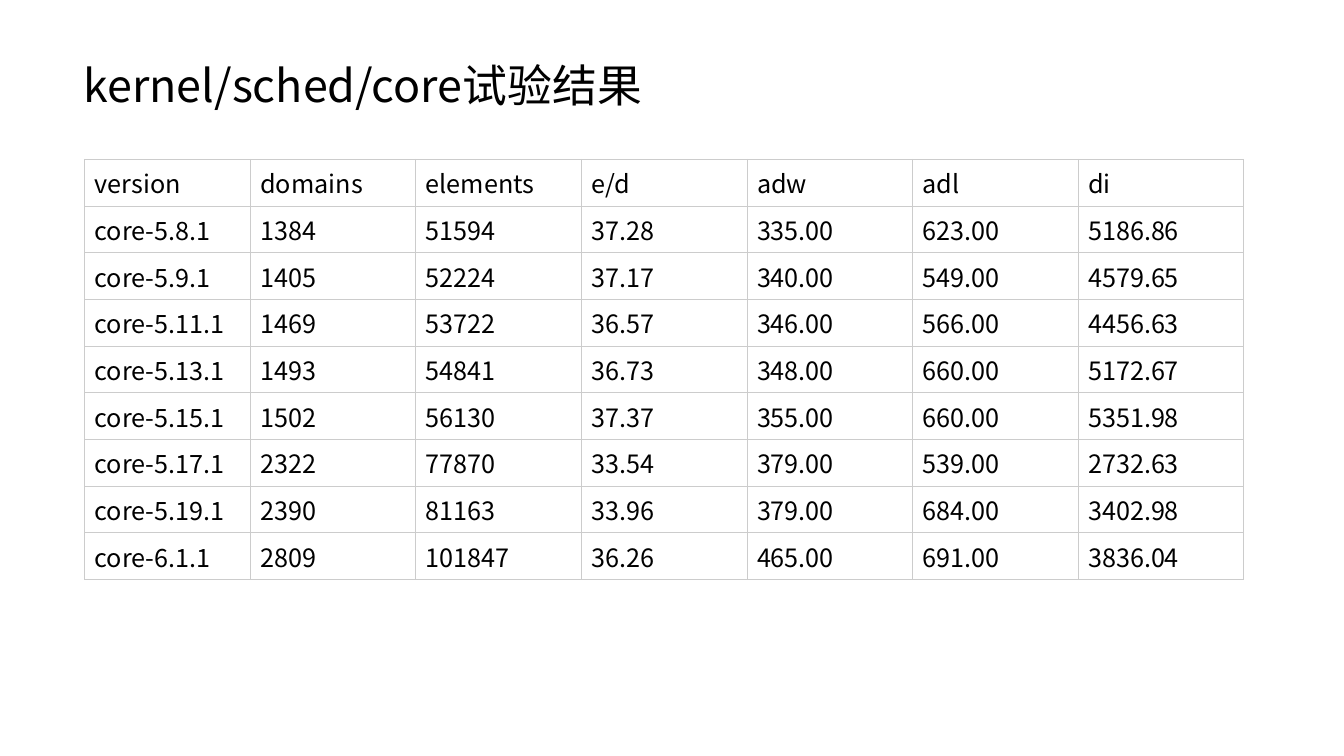
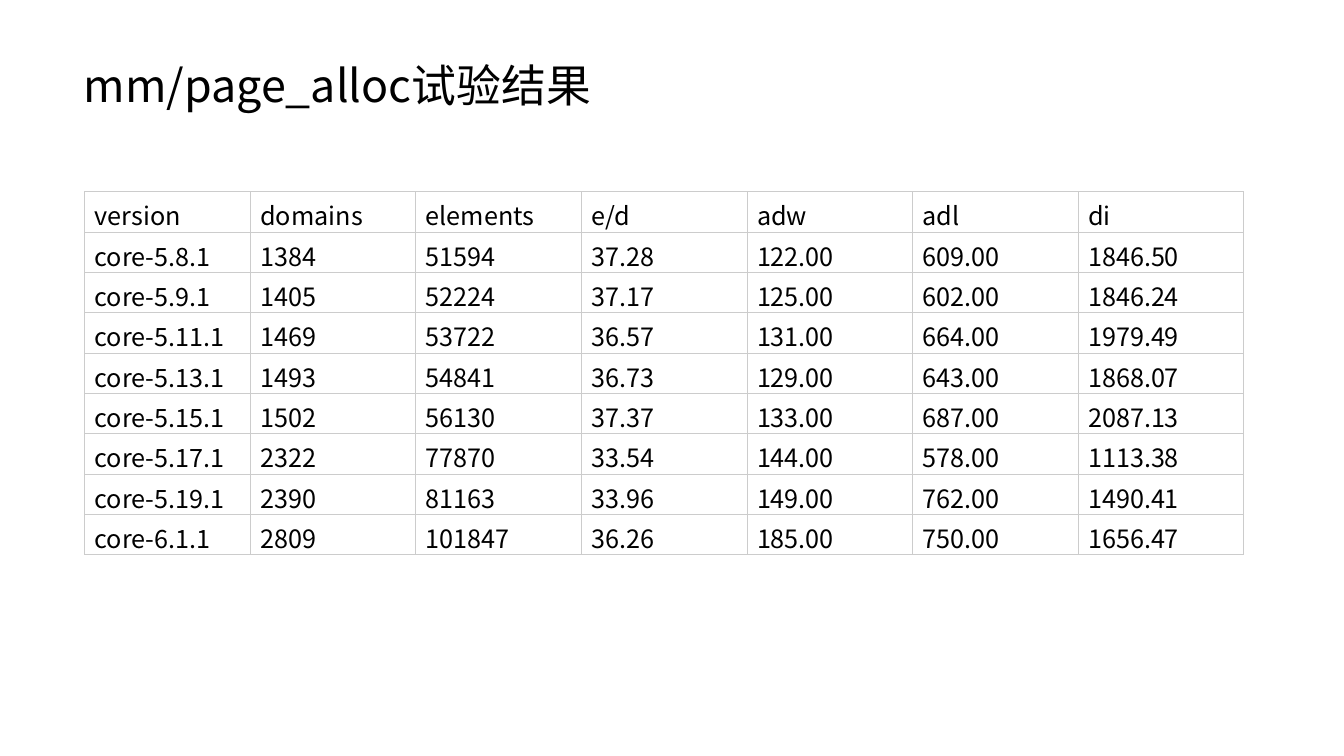
from dataclasses import dataclass

from lxml.etree import SubElement as Sub
from pptx import Presentation
from pptx.dml.color import RGBColor as Rgb
from pptx.enum.text import MSO_ANCHOR as Anchor, MSO_AUTO_SIZE as Fit
from pptx.oxml.ns import qn
from pptx.slide import Slide
from pptx.util import Pt

HEX = {"ink": "000000", "rule": "CCCCCC", "page": "FFFFFF"}
FACE = "Noto Sans CJK SC"
HEADS = ("version", "domains", "elements", "e/d", "adw", "adl", "di")
BASE = (
    ("core-5.8.1", "1384", "51594", "37.28"),
    ("core-5.9.1", "1405", "52224", "37.17"),
    ("core-5.11.1", "1469", "53722", "36.57"),
    ("core-5.13.1", "1493", "54841", "36.73"),
    ("core-5.15.1", "1502", "56130", "37.37"),
    ("core-5.17.1", "2322", "77870", "33.54"),
    ("core-5.19.1", "2390", "81163", "33.96"),
    ("core-6.1.1", "2809", "101847", "36.26"),
)
LEFT, WIDTH = 60.5, 828
RULE = 0.6


@dataclass(frozen=True)
class Report:
    title: str
    top: float
    row: float
    scores: tuple[tuple[str, str, str], ...]


REPORTS = (
    Report("kernel/sched/core试验结果", 113.8, 33.35, (
        ("335.00", "623.00", "5186.86"),
        ("340.00", "549.00", "4579.65"),
        ("346.00", "566.00", "4456.63"),
        ("348.00", "660.00", "5172.67"),
        ("355.00", "660.00", "5351.98"),
        ("379.00", "539.00", "2732.63"),
        ("379.00", "684.00", "3402.98"),
        ("465.00", "691.00", "3836.04"),
    )),
    Report("mm/page_alloc试验结果", 136.8, 28.8, (
        ("122.00", "609.00", "1846.50"),
        ("125.00", "602.00", "1846.24"),
        ("131.00", "664.00", "1979.49"),
        ("129.00", "643.00", "1868.07"),
        ("133.00", "687.00", "2087.13"),
        ("144.00", "578.00", "1113.38"),
        ("149.00", "762.00", "1490.41"),
        ("185.00", "750.00", "1656.47"),
    )),
)


def write(frame, text: str, size: float) -> None:
    run = frame.paragraphs[0].add_run()
    run.text = text
    for key, value in {"name": FACE, "size": Pt(size)}.items():
        setattr(run.font, key, value)
    run.font.color.rgb = Rgb.from_string(HEX["ink"])
    Sub(run.font._element, qn("a:ea"), typeface=FACE)


def outline(cell) -> None:
    props = cell._tc.get_or_add_tcPr()
    for side in "LRTB":
        line = Sub(props, qn(f"a:ln{side}"), w=str(Pt(RULE)))
        fill = Sub(line, qn("a:solidFill"))
        Sub(fill, qn("a:srgbClr"), val=HEX["rule"])


def add_title(slide: Slide, text: str) -> None:
    box = slide.shapes.add_textbox(Pt(52.6), Pt(37.4), Pt(657.4), Pt(46))
    frame = box.text_frame
    frame.word_wrap = True
    frame.auto_size = Fit.SHAPE_TO_FIT_TEXT
    write(frame, text, 32)


def add_grid(slide: Slide, report: Report) -> None:
    rows = [HEADS] + [a + b for a, b in zip(BASE, report.scores)]
    grid = slide.shapes.add_table(
        len(rows), len(HEADS), Pt(LEFT), Pt(report.top),
        Pt(WIDTH), Pt(report.row * len(rows))).table
    for flag in ("first_row", "horz_banding"):
        setattr(grid, flag, False)
    for col in grid.columns:
        col.width = Pt(WIDTH / len(HEADS))
    for i, row in enumerate(rows):
        grid.rows[i].height = Pt(report.row)
        for j, text in enumerate(row):
            cell = grid.cell(i, j)
            cell.vertical_anchor = Anchor.MIDDLE
            outline(cell)
            cell.fill.background()
            write(cell.text_frame, text, 18)


def main() -> None:
    deck = Presentation()
    deck.slide_width, deck.slide_height = Pt(960), Pt(540)
    back = deck.slide_master.background.fill
    back.solid()
    back.fore_color.rgb = Rgb.from_string(HEX["page"])
    for report in REPORTS:
        slide = deck.slides.add_slide(deck.slide_layouts[6])
        add_title(slide, report.title)
        add_grid(slide, report)
    deck.save("out.pptx")


if __name__ == "__main__":
    main()
